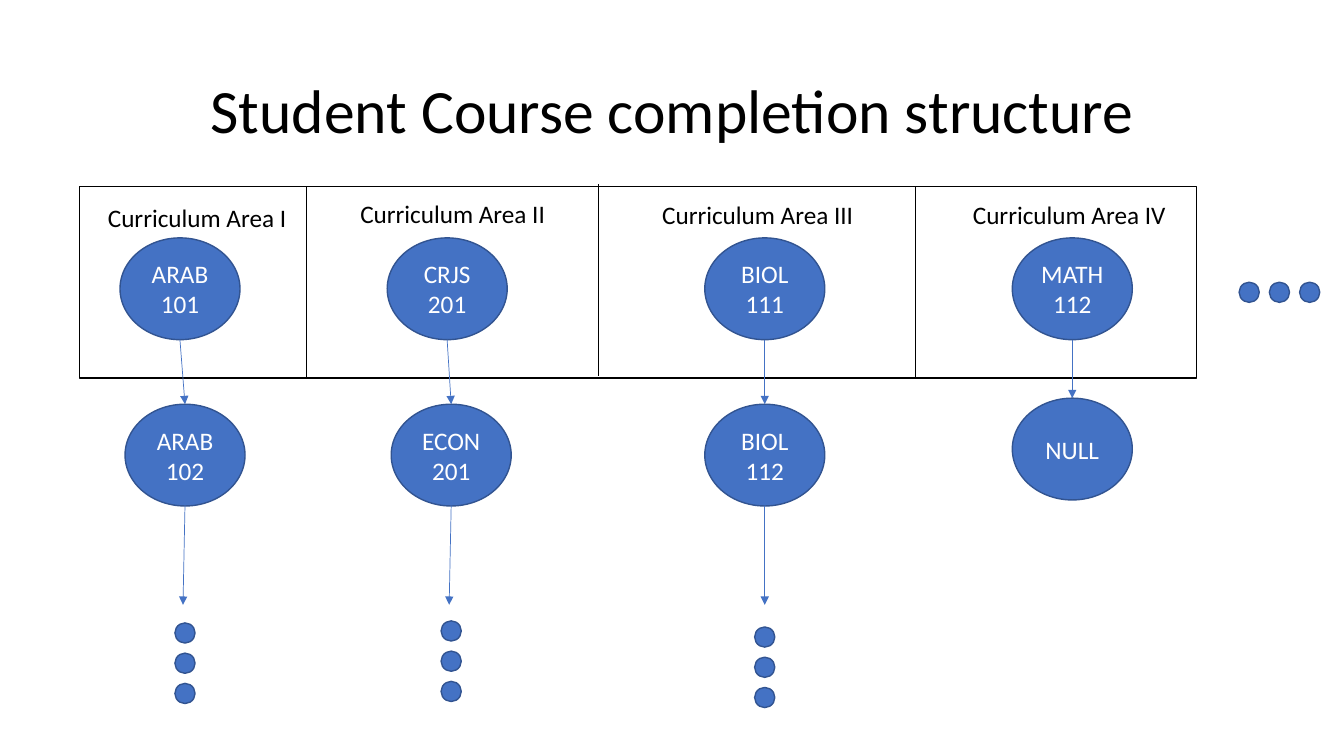
from dataclasses import dataclass
from typing import Optional

from lxml.etree import SubElement
from pptx import Presentation
from pptx.dml.color import RGBColor as Color
from pptx.enum.shapes import MSO_CONNECTOR as Connector, MSO_SHAPE as Shape
from pptx.enum.text import MSO_ANCHOR as Anchor, PP_ALIGN as Align
from pptx.oxml.ns import qn
from pptx.util import Inches, Pt


@dataclass(frozen=True)
class Theme:
    """Colours, type sizes and line widths of the slide."""
    font: str = "Calibri"
    black: Color = Color(0x00, 0x00, 0x00)
    white: Color = Color(0xFF, 0xFF, 0xFF)
    blue: Color = Color(0x44, 0x72, 0xC4)
    outline: Color = Color(0x32, 0x54, 0x91)
    title_size: int = 44
    body_size: int = 18
    border: float = 1
    thin: float = 0.5


@dataclass(frozen=True)
class Area:
    """One curriculum area: its label, its two courses and its trailing dots."""
    label: str
    label_box: tuple[float, float, float, float]
    first: str
    first_left: float
    second: str
    second_left: float
    second_top: float
    dots_top: Optional[float]


THEME = Theme()
NODE_WIDTH, NODE_HEIGHT = 1.19, 1.01
FIRST_TOP = 2.36
CHAIN_END = 6.0
DOT_SIZE, DOT_STEP = 0.2, 0.3
FRAME = (0.79, 1.85, 11.08, 1.9)
DIVIDERS = ((3.04, 1.85), (5.93, 1.83), (9.08, 1.86))
AREAS = (
    Area("Curriculum Area I", (0.95, 1.96, 2.01, 0.4),
         "ARAB 101", 1.19, "ARAB 102", 1.24, 4.01, 6.18),
    Area("Curriculum Area II", (3.34, 1.92, 2.3, 0.4),
         "CRJS 201", 3.84, "ECON\n201", 3.88, 4.01, 6.16),
    Area("Curriculum Area III", (6.42, 1.93, 2.19, 0.4),
         "BIOL 111", 6.99, "BIOL 112", 6.99, 4.01, 6.22),
    Area("Curriculum Area IV", (9.49, 1.93, 2.23, 0.4),
         "MATH 112", 10.04, "NULL", 10.04, 3.95, None),
)


def write(box, text: str, size: float, color: Color, spacing: float = 1.0) -> None:
    """Put centred text into a shape."""
    frame = box.text_frame
    frame.word_wrap = True
    frame.text = text
    for para in frame.paragraphs:
        para.alignment = Align.CENTER
        para.line_spacing = spacing
        for span in para.runs:
            span.font.name = THEME.font
            span.font.size = Pt(size)
            span.font.color.rgb = color


def add_label(page, text: str, bounds: tuple, size: float, spacing: float = 1.0):
    """Add a text box with black text."""
    box = page.shapes.add_textbox(*map(Inches, bounds))
    write(box, text, size, THEME.black, spacing)
    return box


def add_oval(shapes, left: float, top: float, width: float, height: float):
    """Add a blue ellipse."""
    oval = shapes.add_shape(Shape.OVAL, *map(Inches, (left, top, width, height)))
    oval.shadow.inherit = False
    oval.fill.solid()
    oval.fill.fore_color.rgb = THEME.blue
    oval.line.color.rgb = THEME.outline
    oval.line.width = Pt(THEME.border)
    return oval


def add_course(page, text: str, left: float, top: float):
    """Add an ellipse that names a course."""
    course = add_oval(page.shapes, left, top, NODE_WIDTH, NODE_HEIGHT)
    course.text_frame.vertical_anchor = Anchor.MIDDLE
    write(course, text, THEME.body_size, THEME.white)
    return course


def add_dots(page, left: float, top: float, across: float, down: float) -> None:
    """Add a group of three evenly spaced dots."""
    group = page.shapes.add_group_shape()
    for index in range(3):
        add_oval(group.shapes, left + index * across, top + index * down,
                 DOT_SIZE, DOT_SIZE)


def add_line(page, start: tuple, end: tuple, color: Color, arrow: bool = False):
    """Add a thin straight line, with an arrowhead if asked."""
    line = page.shapes.add_connector(
        Connector.STRAIGHT, *map(Inches, (*start, *end)))
    line.line.color.rgb = color
    line.line.width = Pt(THEME.thin)
    if arrow:
        SubElement(line.line._get_or_add_ln(), qn("a:tailEnd"), type="triangle")
    SubElement(line._element.spPr, qn("a:effectLst"))
    return line


def add_frame(page) -> None:
    """Add the outlined row and its dividers."""
    frame = page.shapes.add_shape(Shape.RECTANGLE, *map(Inches, FRAME))
    frame.shadow.inherit = False
    frame.fill.background()
    frame.line.color.rgb = THEME.black
    frame.line.width = Pt(THEME.border)
    for x, top in DIVIDERS:
        add_line(page, (x, top), (x, top + FRAME[3]), THEME.black)


def add_area(page, area: Area) -> None:
    """Add the label, courses, arrows and dots of one area."""
    add_label(page, area.label, area.label_box, THEME.body_size)
    add_course(page, area.first, area.first_left, FIRST_TOP)
    second = add_course(page, area.second, area.second_left, area.second_top)
    first_x = area.first_left + NODE_WIDTH / 2
    second_x = area.second_left + NODE_WIDTH / 2
    link = add_line(page, (first_x, FIRST_TOP + NODE_HEIGHT),
                    (second_x, area.second_top), THEME.blue, arrow=True)
    link.end_connect(second, 0)
    if area.dots_top is not None:
        end_x = second_x if area.first_left == area.second_left else second_x - 0.02
        add_line(page, (second_x, area.second_top + NODE_HEIGHT),
                 (end_x, CHAIN_END), THEME.blue, arrow=True)
        add_dots(page, second_x - DOT_SIZE / 2, area.dots_top, 0, DOT_STEP)


def main() -> None:
    """Build and save the slide."""
    deck = Presentation()
    deck.slide_width, deck.slide_height = Inches(13.33), Inches(7.5)
    page = deck.slides.add_slide(deck.slide_layouts[6])
    title = add_label(page, "Student Course completion structure",
                      (0.92, 0.4, 11.5, 1.45), THEME.title_size, 0.9)
    title.text_frame.vertical_anchor = Anchor.MIDDLE
    add_frame(page)
    for area in AREAS:
        add_area(page, area)
    add_dots(page, 12.29, 2.8, DOT_STEP, 0)
    deck.save("out.pptx")


if __name__ == "__main__":
    main()
